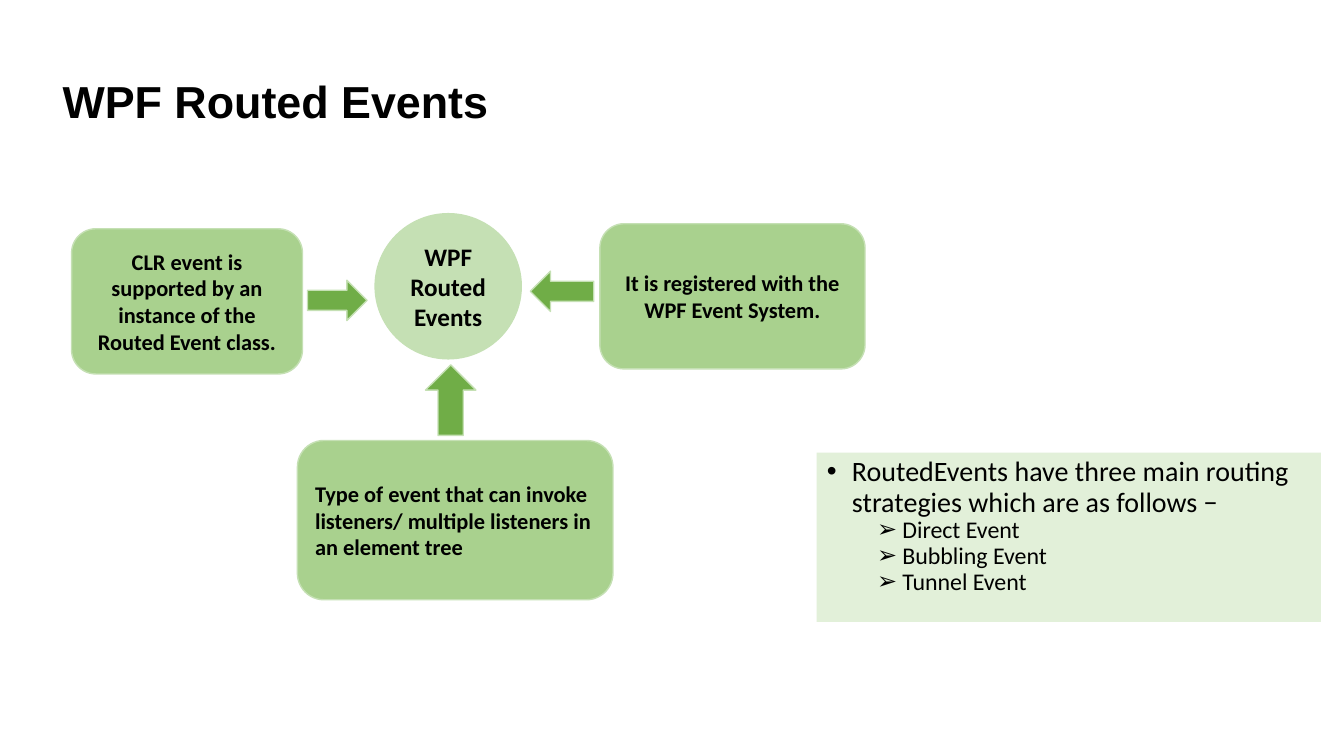
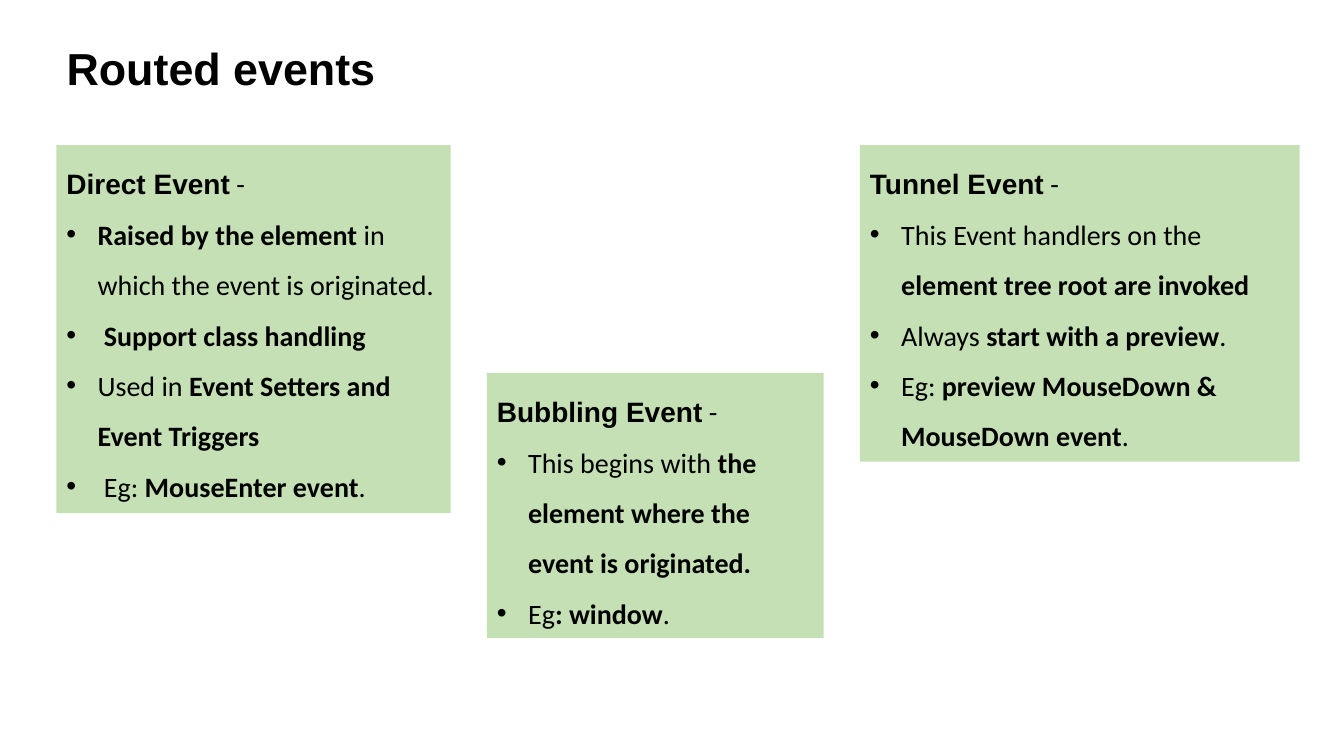
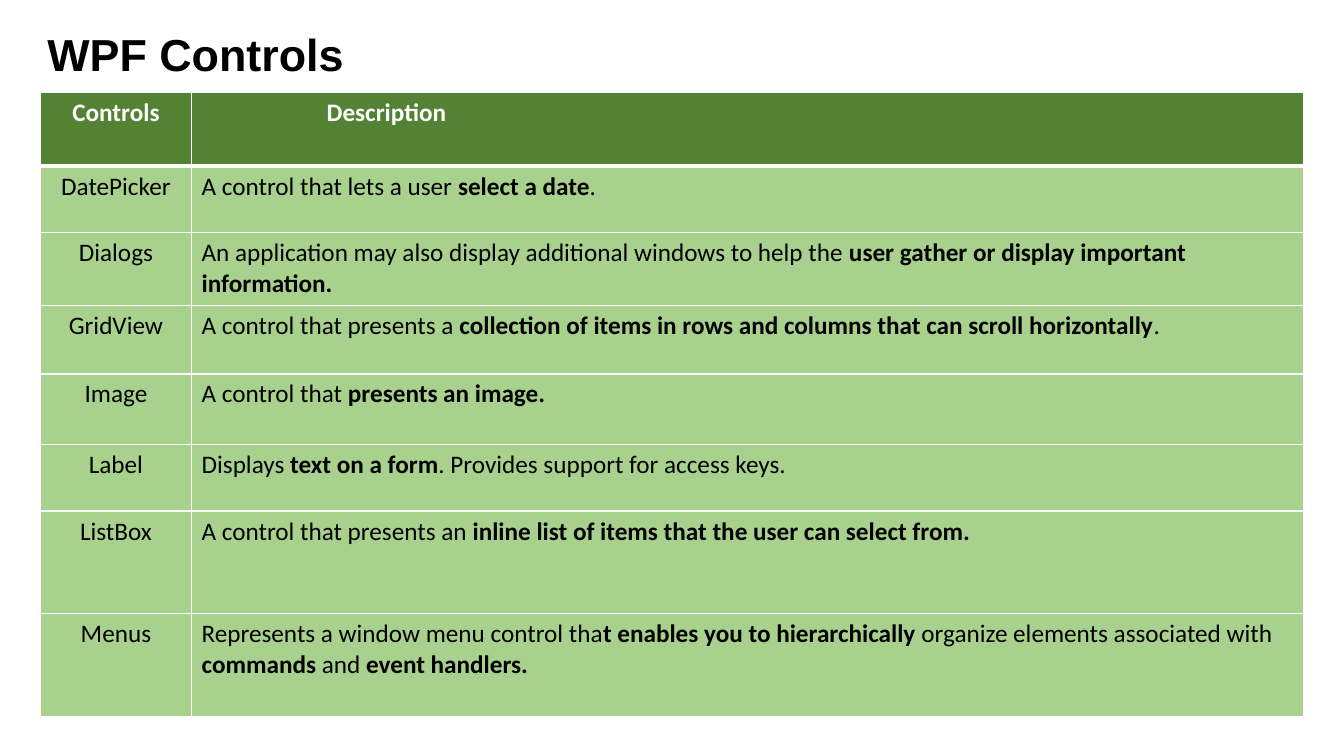
"""Build three slides about WPF routed events and controls."""
import pptx
import pptx.dml.color
import pptx.enum.shapes
import pptx.enum.text
import pptx.oxml.ns
import pptx.util
from lxml import etree

Inches, Pt = pptx.util.Inches, pptx.util.Pt
SHAPE = pptx.enum.shapes.MSO_SHAPE
ALIGN = pptx.enum.text.PP_ALIGN
ANCHOR = pptx.enum.text.MSO_ANCHOR
FIT = pptx.enum.text.MSO_AUTO_SIZE

BLACK, WHITE = "000000", "FFFFFF"
DARK, ARROW, MID, LIGHT, PALE = "548235", "70AD47", "A9D18E", "C5E0B4", "E2F0D9"
HEAD_FONT, BODY_FONT = "Arial", "Calibri"

EVENT_NODES = [
    (SHAPE.OVAL, LIGHT, (3.72, 2.12, 1.45, 1.44), 18, ALIGN.CENTER, "WPF Routed Events"),
    (SHAPE.ROUNDED_RECTANGLE, MID, (0.71, 2.27, 2.29, 1.44), 16, ALIGN.CENTER,
     "CLR event is supported by an instance of the Routed Event class."),
    (SHAPE.ROUNDED_RECTANGLE, MID, (5.95, 2.22, 2.63, 1.44), 16, ALIGN.CENTER,
     "It is registered with the WPF Event System."),
    (SHAPE.ROUNDED_RECTANGLE, MID, (2.95, 4.37, 3.13, 1.58), 16, ALIGN.LEFT,
     "Type of event that can invoke listeners/ multiple listeners in an element tree"),
]
EVENT_ARROWS = [
    (SHAPE.LEFT_ARROW, (5.26, 2.69, 0.63, 0.4)),
    (SHAPE.RIGHT_ARROW, (3.05, 2.78, 0.59, 0.4)),
    (SHAPE.UP_ARROW, (4.22, 3.62, 0.5, 0.7)),
]
STRATEGY_INTRO = "RoutedEvents have three main routing strategies which are as follows −"
STRATEGIES = ["Direct Event", "Bubbling Event", "Tunnel Event"]

CARDS = [
    ("Direct Event", 1.44, 3.91, 3.65, [
        "**Raised by the element** in which the event is originated.",
        " **Support class handling**",
        "Used in **Event Setters and Event Triggers**",
        " Eg: **MouseEnter event**."]),
    ("Bubbling Event", 3.7, 3.34, 2.63, [
        "This begins with **the element where the event is originated.**",
        "Eg**: window**."]),
    ("Tunnel Event", 1.44, 4.36, 3.14, [
        "This Event handlers on the **element tree root are invoked**",
        "Always **start with a preview**.",
        "Eg: **preview MouseDown & MouseDown event**."]),
]
CARD_LEFT, CARD_GAP = 0.56, 0.36

CONTROLS = [
    ("**Controls**", "**Description**", 0.73),
    ("DatePicker", "A control that lets a user **select a date**.", 0.66),
    ("Dialogs", "An application may also display additional windows to help the"
     "** user gather or display important information.**", 0.72),
    ("GridView", "A control that presents a **collection of items in rows and columns "
     "that can scroll horizontally**.", 0.68),
    ("Image", "A control that **presents an image.**", 0.7),
    ("Label", "Displays **text on a form**. Provides support for access keys.", 0.66),
    ("ListBox", "A control that presents an** inline list of items that the user can "
     "select from.**", 1.02),
    ("Menus", "Represents a window menu control tha**t enables you to hierarchically** "
     "organize elements associated with **commands **and** event handlers.**", 1.02),
]
COLUMNS = (1.5, 11.03)


def rgb(value):
    return pptx.dml.color.RGBColor.from_string(value)


def box(at):
    return [Inches(v) for v in at]


def write(p, text, size=20, color=BLACK, font=BODY_FONT, bold=False,
          align=ALIGN.LEFT, spacing=1.0, bullet=None, indent=0.0, hang=0.0):
    p.alignment, p.line_spacing, p.space_before = align, spacing, Pt(0)
    if bullet:
        ppr = p._p.get_or_add_pPr()
        ppr.set("marL", str(Inches(indent)))
        ppr.set("indent", str(-Inches(hang)))
        for tag, key, value in (("a:buFont", "typeface", "Arial"), ("a:buChar", "char", bullet)):
            etree.SubElement(ppr, pptx.oxml.ns.qn(tag)).set(key, value)
    for i, part in enumerate(text.split("**")):
        if part:
            r = p.add_run()
            r.text = part
            r.font.size, r.font.name = Pt(size), font
            r.font.bold = bold or i % 2 == 1
            r.font.color.rgb = rgb(color)


def add_slide(prs, layout, title, at):
    s = prs.slides.add_slide(prs.slide_layouts[layout])
    sp = s.shapes.title
    sp.left, sp.top, sp.width, sp.height = box(at)
    tf = sp.text_frame
    tf.auto_size, tf.vertical_anchor = FIT.NONE, ANCHOR.MIDDLE
    write(tf.paragraphs[0], title, size=32, font=HEAD_FONT, bold=True, spacing=0.9)
    return s


def add_block(s, kind, at, fill, line=None):
    sp = s.shapes.add_shape(kind, *box(at))
    sp.shadow.inherit = False
    sp.fill.solid()
    sp.fill.fore_color.rgb = rgb(fill)
    if line:
        sp.line.color.rgb = rgb(line)
        sp.line.width = Pt(1)
    else:
        sp.line.fill.background()
    sp.text_frame.word_wrap = True
    return sp


def border(cell, **widths):
    tcpr = cell._tc.get_or_add_tcPr()
    for side in "LRTB":
        ln = etree.SubElement(tcpr, pptx.oxml.ns.qn("a:ln" + side), w=str(Pt(widths.get(side, 1))))
        fill = etree.SubElement(ln, pptx.oxml.ns.qn("a:solidFill"))
        etree.SubElement(fill, pptx.oxml.ns.qn("a:srgbClr"), val=WHITE)


def events_slide(prs):
    s = add_slide(prs, 1, "WPF Routed Events", (0.52, 0.52, 4.73, 1.03))
    sp = s.placeholders[1]
    sp.left, sp.top, sp.width, sp.height = box((8.1, 4.49, 5, 1.68))
    sp.fill.solid()
    sp.fill.fore_color.rgb = rgb(PALE)
    tf = sp.text_frame
    tf.auto_size = FIT.NONE
    write(tf.paragraphs[0], STRATEGY_INTRO, spacing=0.9, bullet="•", indent=0.25, hang=0.25)
    for name in STRATEGIES:
        p = tf.add_paragraph()
        p.level = 1
        write(p, name, size=17.1, spacing=0.9, bullet="➢", indent=0.75, hang=0.25)
    for kind, fill, at, size, align, text in EVENT_NODES:
        tf = add_block(s, kind, at, fill, LIGHT).text_frame
        tf.vertical_anchor = ANCHOR.MIDDLE
        write(tf.paragraphs[0], text, size=size, bold=True, align=align)
    for kind, at in EVENT_ARROWS:
        add_block(s, kind, at, ARROW, LIGHT)


def strategies_slide(prs):
    s = add_slide(prs, 5, "Routed events", (0.56, 0.3, 3.91, 0.8))
    left = CARD_LEFT
    for name, top, width, height, points in CARDS:
        tf = add_block(s, SHAPE.RECTANGLE, (left, top, width, height), LIGHT).text_frame
        tf.auto_size, tf.vertical_anchor = FIT.SHAPE_TO_FIT_TEXT, ANCHOR.TOP
        p = tf.paragraphs[0]
        write(p, name, font=HEAD_FONT, bold=True, spacing=1.5)
        write(p, " -", spacing=1.5)
        for point in points:
            write(tf.add_paragraph(), point, spacing=1.5, bullet="•", indent=0.31, hang=0.31)
        left += width + CARD_GAP


def controls_slide(prs):
    s = add_slide(prs, 5, "WPF Controls", (0.37, 0.21, 4.05, 0.71))
    height = sum(row[-1] for row in CONTROLS)
    table = s.shapes.add_table(len(CONTROLS), len(COLUMNS),
                               *box((0.4, 0.92, sum(COLUMNS), height))).table
    for col, width in zip(table.columns, COLUMNS):
        col.width = Inches(width)
    for i, (*texts, row_height) in enumerate(CONTROLS):
        table.rows[i].height = Inches(row_height)
        for j, text in enumerate(texts):
            cell = table.cell(i, j)
            border(cell, T=3 if i == 1 else 1, B=3 if i == 0 else 1)
            cell.fill.solid()
            cell.fill.fore_color.rgb = rgb(MID if i else DARK)
            write(cell.text_frame.paragraphs[0], text, size=18,
                  color=BLACK if i else WHITE, align=ALIGN.LEFT if j else ALIGN.CENTER)
    table.cell(0, 1).margin_left = Inches(1.34)


def main():
    prs = pptx.Presentation()
    prs.slide_width, prs.slide_height = Inches(13.33), Inches(7.5)
    events_slide(prs)
    strategies_slide(prs)
    controls_slide(prs)
    prs.save("out.pptx")


if __name__ == "__main__":
    main()
